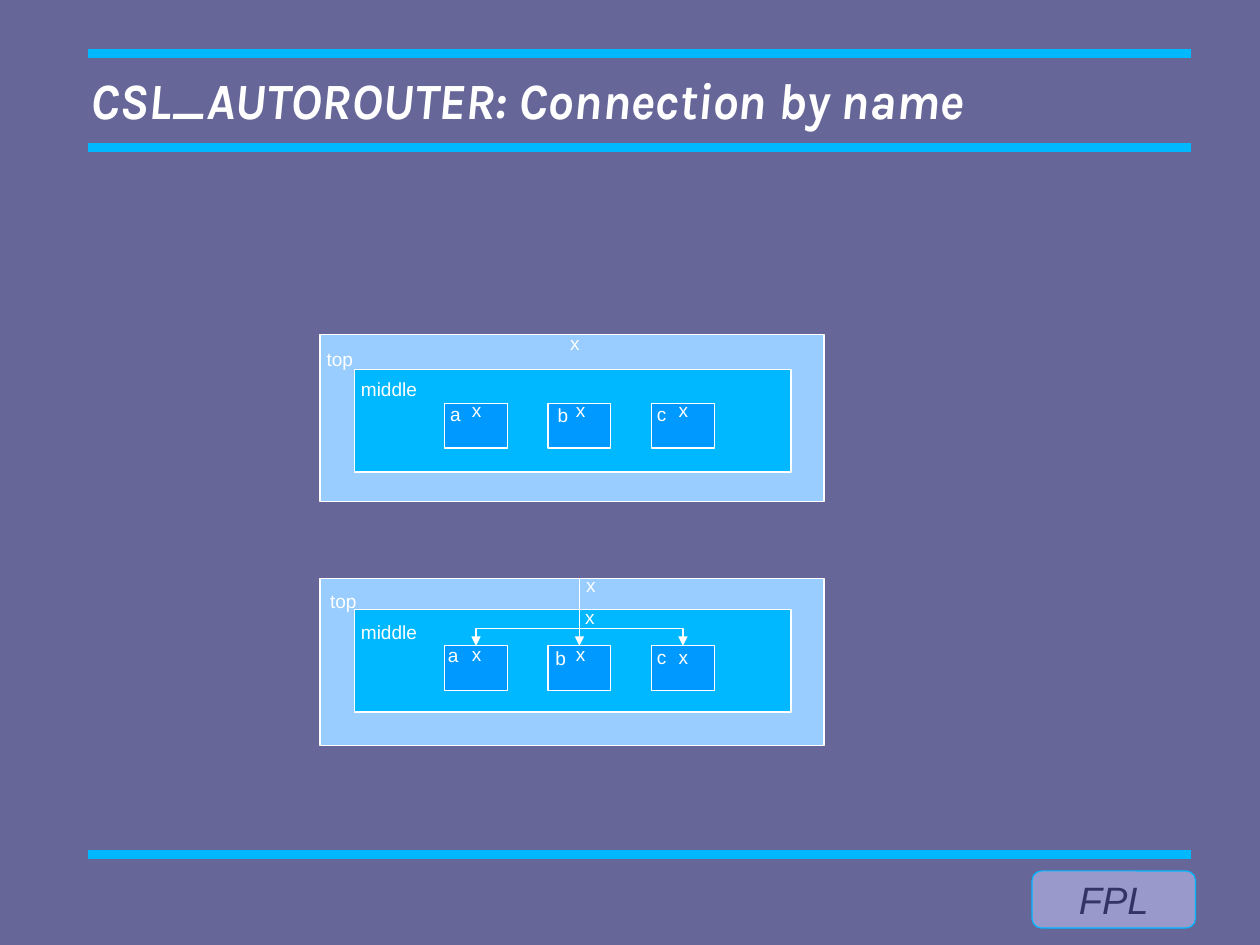
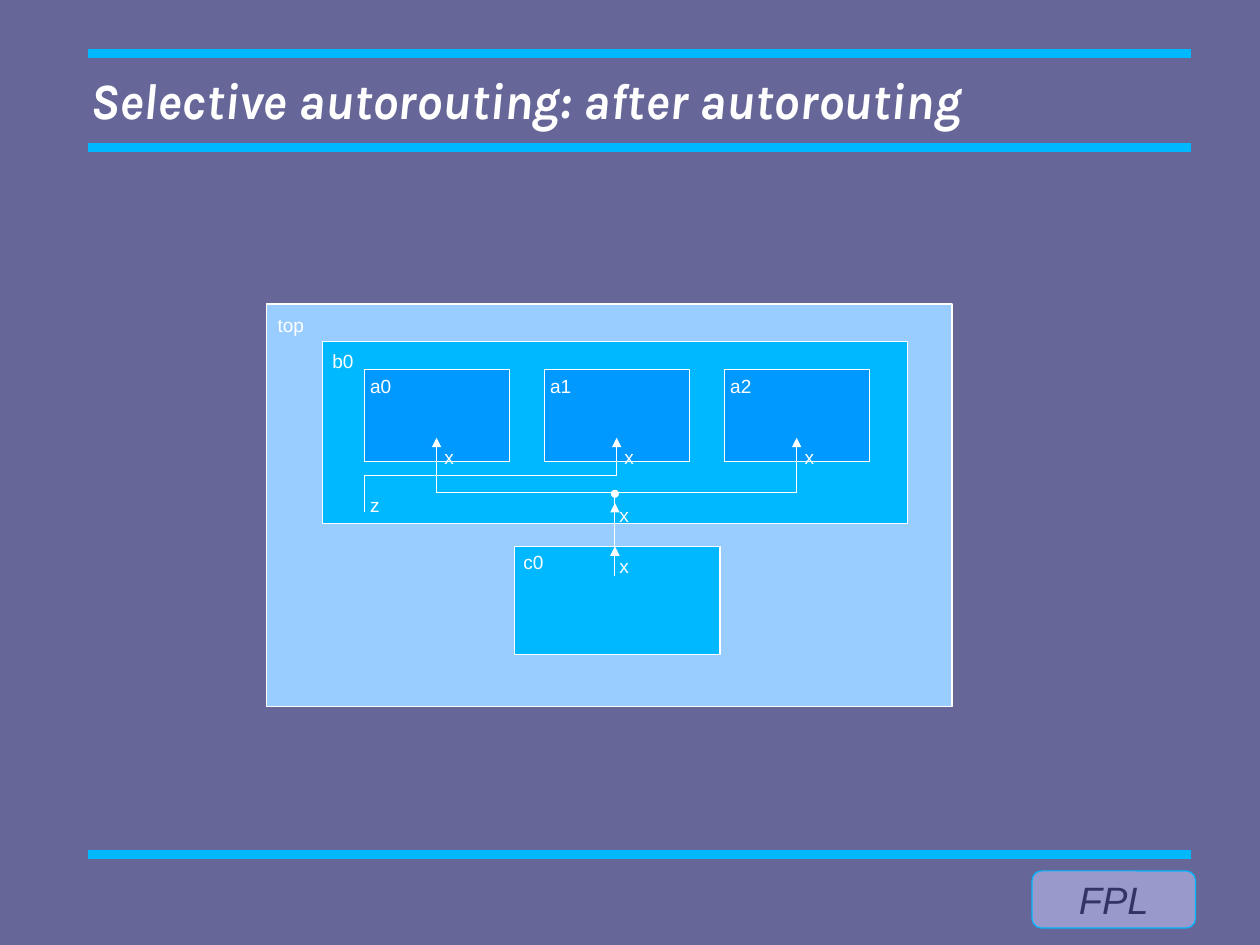
from lxml.etree import SubElement
from pptx import Presentation
from pptx.dml.color import RGBColor
from pptx.enum.shapes import MSO_CONNECTOR, MSO_SHAPE
from pptx.enum.text import MSO_ANCHOR, MSO_AUTO_SIZE, PP_ALIGN
from pptx.oxml.ns import qn
from pptx.util import Inches, Pt

COLORS = {
    "background": "666699",
    "white": "FFFFFF",
    "outer": "99CCFF",
    "accent": "00B8FF",
    "unit": "0099FF",
    "badge": "9999CC",
    "badge_text": "333366",
}


def color(name):
    return RGBColor.from_string(COLORS[name])


def write(frame, text, size=12, font="Arial", ink="white", bold=False, italic=False,
          align=PP_ALIGN.LEFT, anchor=MSO_ANCHOR.TOP, insets=(0.1, 0.05),
          indent=0, gap=0):
    frame.word_wrap = True
    frame.auto_size = MSO_AUTO_SIZE.NONE
    frame.vertical_anchor = anchor
    frame.margin_left = frame.margin_right = Inches(insets[0])
    frame.margin_top = frame.margin_bottom = Inches(insets[1])
    for index, content in enumerate(text.split("\n")):
        paragraph = frame.add_paragraph() if index else frame.paragraphs[0]
        paragraph.alignment = align
        if index:
            paragraph.space_before = Pt(gap)
            paragraph._p.get_or_add_pPr().set("marL", str(Inches(indent)))
        run = paragraph.add_run()
        run.text = content
        run.font.name = font
        run.font.size = Pt(size)
        run.font.bold = bold
        run.font.italic = italic
        run.font.color.rgb = color(ink)


class Deck:
    def __init__(self):
        self.presentation = Presentation()
        self.presentation.slide_width = Inches(28 / 2.54)
        self.presentation.slide_height = Inches(21 / 2.54)
        background = self.presentation.slide_master.background.fill
        background.solid()
        background.fore_color.rgb = color("background")
        self.slide = None

    def add_slide(self, heading):
        self.slide = self.presentation.slides.add_slide(self.presentation.slide_layouts[5])
        for y in (0.47, 1.29, 7.48):
            self.line((0.77, y), (10.42, y), ink="accent", width=5.67)
        badge = self.box(9.03, 7.62, 1.43, 0.5, "badge", MSO_SHAPE.ROUNDED_RECTANGLE, "accent")
        write(badge.text_frame, "FPL", size=24, ink="badge_text", italic=True,
              align=PP_ALIGN.CENTER, anchor=MSO_ANCHOR.MIDDLE, insets=(0, 0))
        title = self.slide.shapes.title
        title.left, title.top = Inches(0.79), Inches(0.28)
        title.width, title.height = Inches(9.41), Inches(1.18)
        write(title.text_frame, heading, size=32, font="Karla", bold=True, italic=True,
              anchor=MSO_ANCHOR.MIDDLE, insets=(0, 0))

    def box(self, left, top, width, height, fill, preset=MSO_SHAPE.RECTANGLE, outline="white"):
        shape = self.slide.shapes.add_shape(
            preset, Inches(left), Inches(top), Inches(width), Inches(height))
        shape.shadow.inherit = False
        shape.fill.solid()
        shape.fill.fore_color.rgb = color(fill)
        shape.line.color.rgb = color(outline)
        shape.line.width = Pt(0)
        return shape

    def label(self, text, left, top, width=None, height=0.29, **style):
        holder = self.slide.shapes.add_textbox(
            Inches(left), Inches(top), Inches(width or 0.18 + 0.12 * len(text)), Inches(height))
        write(holder.text_frame, text, **style)

    def line(self, start, end, arrow=False, bent=False, ink="white", width=0.71):
        kind = MSO_CONNECTOR.ELBOW if bent else MSO_CONNECTOR.STRAIGHT
        wire = self.slide.shapes.add_connector(kind, *map(Inches, (*start, *end)))
        wire.line.color.rgb = color(ink)
        wire.line.width = Pt(width)
        properties = wire._element.spPr
        if bent:
            properties.find(qn("a:prstGeom")).set("prst", "bentConnector2")
        if arrow:
            SubElement(properties.find(qn("a:ln")), qn("a:tailEnd"), type="triangle")
        SubElement(properties, qn("a:effectLst"))
        return wire

    def nested_units(self, top, middle_top, units_top, labels):
        self.box(2.8, top, 4.41, 1.46, "outer")
        self.box(3.1, middle_top, 3.82, 0.9, "accent")
        units = [self.box(3.89 + 0.905 * column, units_top, 0.55, 0.39, "unit")
                 for column in range(3)]
        for label in labels:
            self.label(*label)
        return units


def connection_by_name(deck):
    deck.add_slide("CSL_AUTOROUTER: Connection by name")
    deck.nested_units(2.93, 3.23, 3.53, [
        ("top", 2.76, 2.99), ("middle", 3.06, 3.25), ("x", 4.89, 2.85),
        ("a", 3.84, 3.47), ("b", 4.78, 3.48), ("c", 5.65, 3.47),
        ("x", 4.03, 3.44), ("x", 4.94, 3.44), ("x", 5.84, 3.44)])
    units = deck.nested_units(5.06, 5.33, 5.65, [
        ("top", 2.79, 5.11), ("middle", 3.06, 5.38), ("x", 5.03, 4.97), ("x", 5.02, 5.25),
        ("a", 3.82, 5.58), ("b", 4.76, 5.61), ("c", 5.65, 5.6),
        ("x", 4.03, 5.57), ("x", 4.94, 5.57), ("x", 5.84, 5.6)])
    center_a, center_b, center_c = ((unit.left + unit.width / 2) / Inches(1) for unit in units)
    trunk = deck.line((center_b, 5.06), (center_b, 5.65), arrow=True)
    trunk.end_connect(units[1], 0)
    for center in (center_a, center_c):
        deck.line((center_b, 5.5), (center, 5.65), arrow=True, bent=True)


def selective_autorouting(deck):
    deck.add_slide("Selective autorouting: after autorouting")
    deck.box(2.33, 2.66, 6, 3.52, "outer")
    deck.box(2.82, 2.99, 5.12, 1.59, "accent")
    deck.box(4.5, 4.78, 1.8, 0.95, "accent")
    z_level, x_level, trunk = 4.16, 4.31, 5.38
    for column, level in enumerate((x_level, z_level, x_level)):
        left = 3.19 + 1.575 * column
        deck.box(left, 3.23, 1.27, 0.81, "unit")
        deck.label(f"a{column}\nx", left - 0.05, 3.23, 1.45, 0.87, indent=0.65, gap=30)
        deck.line((left + 0.63, level), (left + 0.63, 3.83), arrow=True)
    for label in (("top", 2.33, 2.69), ("b0", 2.81, 3.01), ("c0", 4.48, 4.77),
                  ("z", 3.14, 4.27), ("x", 5.32, 4.8), ("x", 5.32, 4.36)):
        deck.label(*label)
    deck.line((3.19, z_level), (3.19, 4.48))
    deck.line((3.19, z_level), (5.4, z_level))
    deck.line((3.82, x_level), (6.97, x_level))
    deck.line((trunk, 5.04), (trunk, 4.78), arrow=True)
    deck.line((trunk, 4.81), (trunk, 4.4), arrow=True)
    deck.line((trunk, 4.43), (trunk, 4.33))
    deck.box(trunk - 0.03, 4.29, 0.06, 0.06, "white", MSO_SHAPE.OVAL)


def main():
    deck = Deck()
    connection_by_name(deck)
    selective_autorouting(deck)
    deck.presentation.save("out.pptx")


if __name__ == "__main__":
    main()
